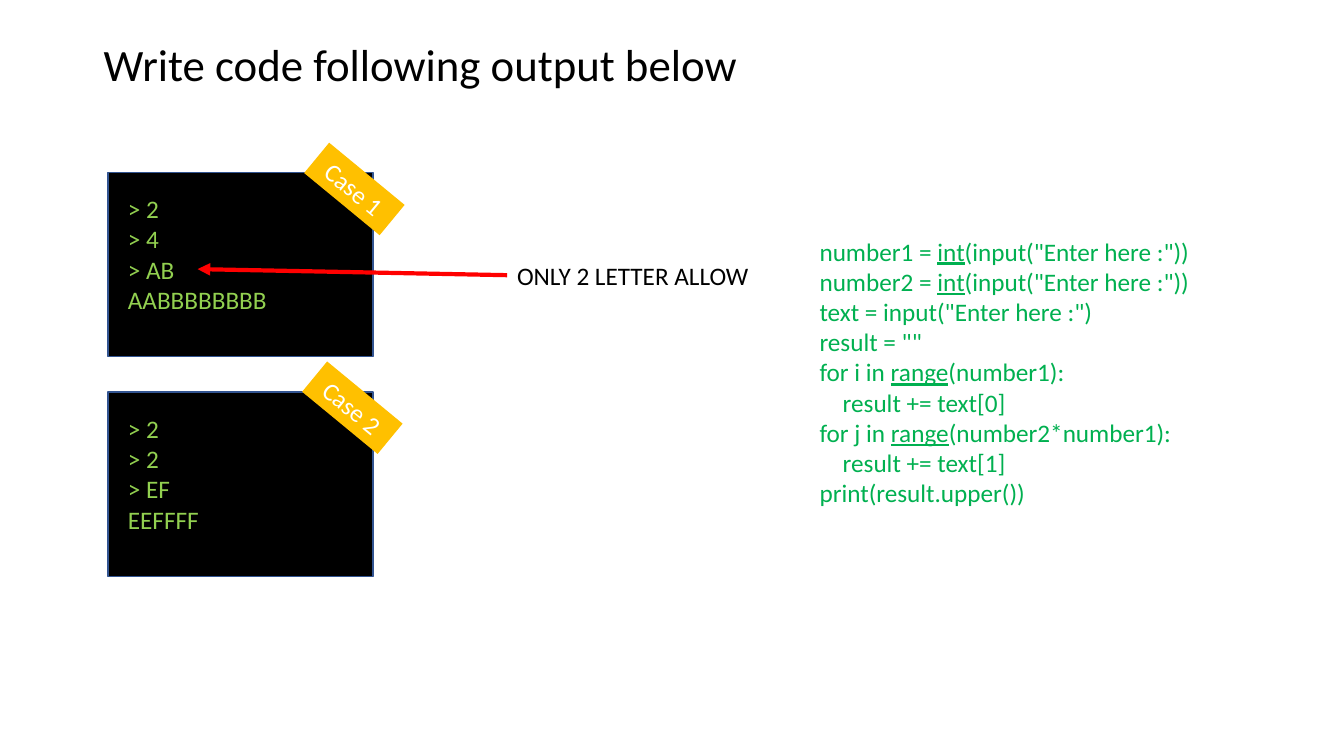
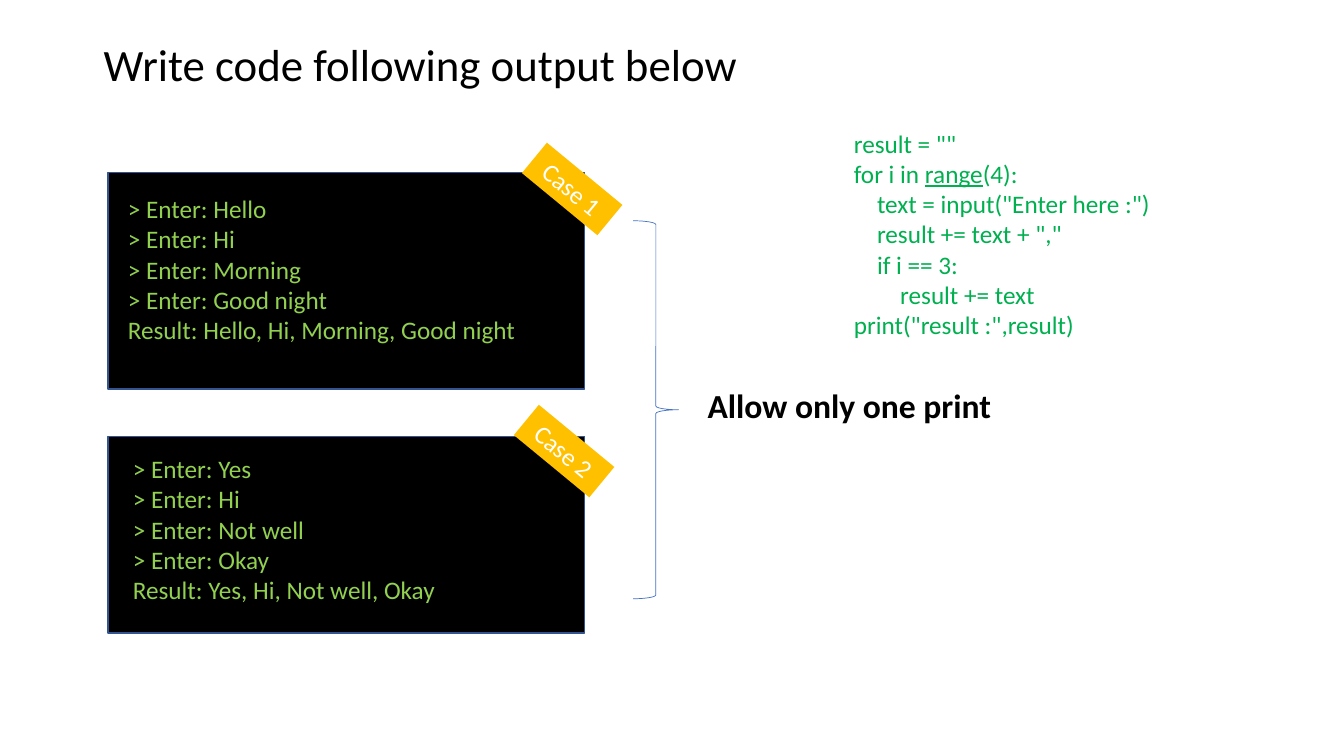
from dataclasses import dataclass

from lxml.etree import SubElement
from pptx import Presentation
from pptx.dml.color import RGBColor
from pptx.enum.shapes import MSO_CONNECTOR, MSO_SHAPE
from pptx.enum.text import MSO_ANCHOR, MSO_AUTO_SIZE, PP_ALIGN
from pptx.oxml.ns import qn
from pptx.util import Emu, Pt

# Shared style
PX = 9144  # EMU in one px, 100 px to the inch
FONT = "Calibri"
TITLE = "Write code following output below"
CONSOLE_LEFT = 107
INDENT = 23  # one level of code indentation
COLORS = {
    "ink": "000000",
    "white": "FFFFFF",
    "frame": "325491",
    "output": "92D050",
    "badge": "FFC000",
    "code": "00B050",
    "arrow": "FF0000",
    "brace": "4472C4",
}


@dataclass
class Box:
    x: int
    y: int
    w: int
    h: int


@dataclass
class Label:
    x: int
    y: int
    w: int
    lines: list[str]  # a tab indents one level, _word_ is underlined
    color: str = "ink"
    size: int = 18
    bold: bool = False


@dataclass
class Case:
    name: str
    y: int
    w: int
    h: int
    badge_x: int
    badge_y: int
    output: Label


def px(n: int) -> Emu:
    return Emu(n * PX)


def rgb(name: str) -> RGBColor:
    return RGBColor.from_string(COLORS[name])


def style_run(r, size: int, color: str, bold: bool = False) -> None:
    r.font.name = FONT
    r.font.size = Pt(size)
    r.font.bold = bold
    r.font.color.rgb = rgb(color)


def add_label(s, label: Label):
    height = round(len(label.lines) * label.size * 1.68) + 10
    tb = s.shapes.add_textbox(px(label.x), px(label.y), px(label.w), px(height))
    tf = tb.text_frame
    tf.word_wrap = False
    tf.auto_size = MSO_AUTO_SIZE.SHAPE_TO_FIT_TEXT
    for i, line in enumerate(label.lines):
        p = tf.add_paragraph() if i else tf.paragraphs[0]
        level = line.count("\t")
        if level:
            p._p.get_or_add_pPr().set("marL", str(px(level * INDENT)))
        for j, part in enumerate(line.lstrip("\t").split("_")):
            r = p.add_run()
            r.text = part
            style_run(r, label.size, label.color, label.bold)
            if j % 2:
                r.font.underline = True
    return tb


def add_shape(s, kind: MSO_SHAPE, box: Box, fill: str | None = None,
              line: str | None = None, width: float = 1):
    sp = s.shapes.add_shape(kind, px(box.x), px(box.y), px(box.w), px(box.h))
    sp.shadow.inherit = False
    if fill:
        sp.fill.solid()
        sp.fill.fore_color.rgb = rgb(fill)
    else:
        sp.fill.background()
    if line:
        sp.line.color.rgb = rgb(line)
        sp.line.width = Pt(width)
    else:
        sp.line.fill.background()
    return sp


def add_case(s, case: Case) -> None:
    # Console with its output
    console = Box(CONSOLE_LEFT, case.y, case.w, case.h)
    add_shape(s, MSO_SHAPE.RECTANGLE, console, "ink", "frame")
    add_label(s, case.output)
    # Tilted badge on the corner
    badge = add_shape(s, MSO_SHAPE.RECTANGLE,
                      Box(case.badge_x, case.badge_y, 97, 39), "badge")
    badge.rotation = 39.5
    tf = badge.text_frame
    tf.text = case.name
    tf.vertical_anchor = MSO_ANCHOR.MIDDLE
    p = tf.paragraphs[0]
    p.alignment = PP_ALIGN.CENTER
    style_run(p.runs[0], 18, "white")


def add_arrow(s, note, x: int, y: int) -> None:
    line = s.shapes.add_connector(MSO_CONNECTOR.STRAIGHT, note.left, note.top, px(x), px(y))
    line.begin_connect(note, 1)
    line.line.color.rgb = rgb("arrow")
    line.line.width = Pt(3)
    SubElement(line.line._get_or_add_ln(), qn("a:tailEnd"), type="triangle")
    SubElement(line._element.spPr, qn("a:effectLst"))


def add_exercise(prs, cases: list[Case], code: Label):
    s = prs.slides.add_slide(prs.slide_layouts[6])
    add_label(s, Label(93, 32, 655, [TITLE], size=32))
    for case in cases:
        add_case(s, case)
    add_label(s, code)
    return s


def build_repeat_slide(prs) -> None:
    cases = [
        Case("Case 1", 171, 263, 183, 303, 168,
             Label(117, 187, 159, ["> 2", "> 4", "> AB", "AABBBBBBBB"], "output")),
        Case("Case 2", 389, 263, 183, 301, 385,
             Label(117, 405, 91, ["> 2", "> 2", "> EF", "EEFFFF"], "output")),
    ]
    code = Label(803, 229, 392, [
        'number1 = _int_(input("Enter here :"))',
        'number2 = _int_(input("Enter here :"))',
        'text = input("Enter here :")',
        'result = ""',
        "for i in _range_(number1):",
        "\tresult += text[0]",
        "for j in _range_(number2*number1):",
        "\tresult += text[1]",
        "print(result.upper())",
    ], "code")
    s = add_exercise(prs, cases, code)
    note = add_label(s, Label(503, 253, 252, ["ONLY 2 LETTER ALLOW"]))
    add_arrow(s, note, 196, 267)


def build_join_slide(prs) -> None:
    cases = [
        Case("Case 1", 171, 473, 215, 519, 168, Label(117, 187, 409, [
            "> Enter: Hello", "> Enter: Hi", "> Enter: Morning",
            "> Enter: Good night", "Result: Hello, Hi, Morning, Good night",
        ], "output")),
        Case("Case 2", 433, 473, 195, 511, 428, Label(122, 445, 323, [
            "> Enter: Yes", "> Enter: Hi", "> Enter: Not well",
            "> Enter: Okay", "Result: Yes, Hi, Not well, Okay",
        ], "output")),
    ]
    code = Label(837, 122, 318, [
        'result = ""',
        "for i in _range_(4):",
        '\ttext = input("Enter here :")',
        '\tresult += text + ","',
        "\tif i == 3:",
        "\t\tresult += text",
        'print("result :",result)',
    ], "code")
    s = add_exercise(prs, cases, code)
    add_shape(s, MSO_SHAPE.RIGHT_BRACE, Box(628, 219, 45, 375), line="brace", width=0.5)
    add_label(s, Label(692, 377, 304, ["Allow only one print"], size=24, bold=True))


def main() -> None:
    prs = Presentation()
    prs.slide_width = px(1333)
    prs.slide_height = px(750)
    build_repeat_slide(prs)
    build_join_slide(prs)
    prs.save("out.pptx")


if __name__ == "__main__":
    main()
